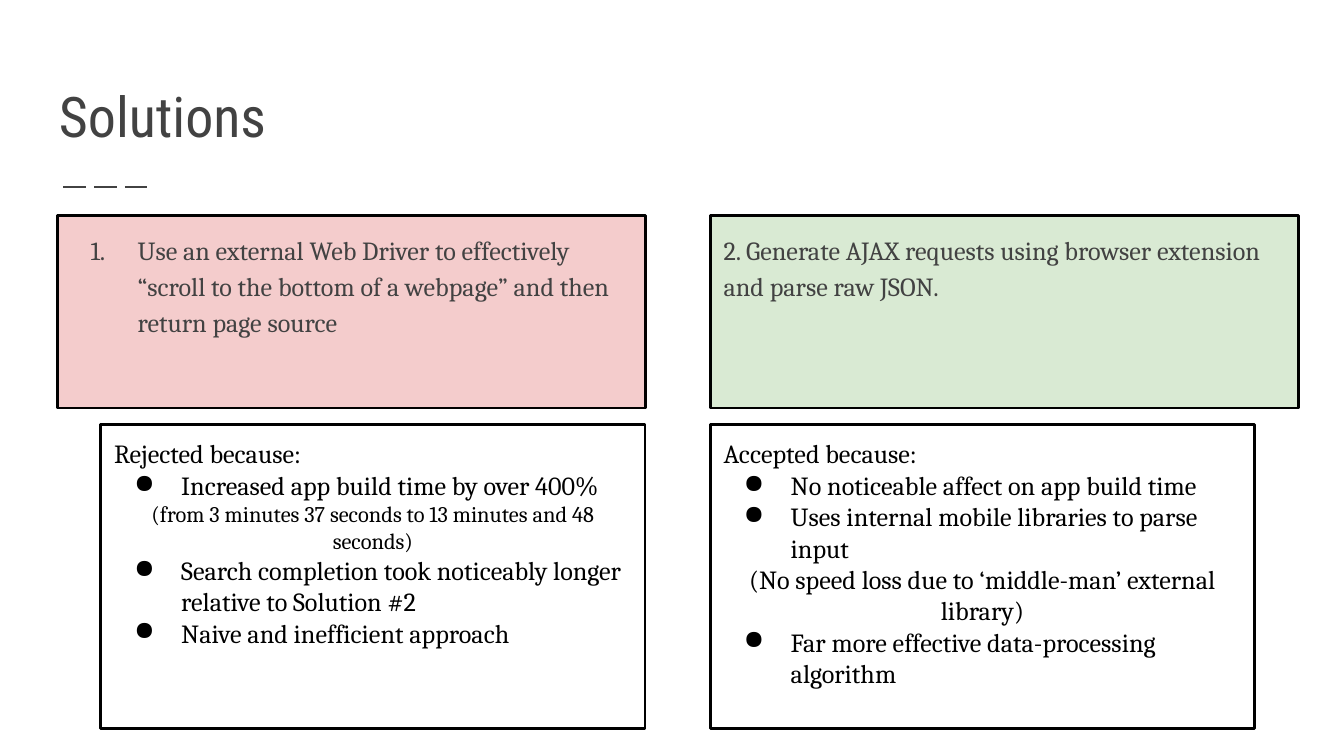
from collections import namedtuple

from lxml.etree import SubElement
from pptx import Presentation
from pptx.dml.color import RGBColor
from pptx.enum.dml import MSO_LINE
from pptx.enum.shapes import MSO_CONNECTOR, MSO_SHAPE
from pptx.enum.text import MSO_ANCHOR, PP_ALIGN
from pptx.oxml.ns import qn
from pptx.util import Inches, Pt

# Widescreen, 16 to 9
WIDTH = Inches(10)
HEIGHT = WIDTH * 9 // 16
GREY, BLACK = "424242", "000000"
SERIF, CONDENSED = "Cambria", "Roboto Condensed"

# Box values are percentages of the slide's width and height
Box = namedtuple("Box", "left top width height")


def across(percent):
    return round(WIDTH * percent / 100)


def down(percent):
    return round(HEIGHT * percent / 100)


def place(box):
    return across(box.left), down(box.top), across(box.width), down(box.height)


def color(value):
    return RGBColor.from_string(value)


def prepare_frame(frame, anchor=MSO_ANCHOR.TOP):
    frame.word_wrap = True
    frame.vertical_anchor = anchor
    frame.margin_left = frame.margin_right = Inches(0.1)
    frame.margin_top = frame.margin_bottom = Inches(0.1)


def write(paragraph, text, size, ink, font=SERIF, align=PP_ALIGN.LEFT):
    paragraph.alignment = align
    run = paragraph.add_run()
    run.text = text
    run.font.size = Pt(size)
    run.font.name = font
    run.font.color.rgb = color(ink)


def add_marker(paragraph, ink, tag, **attributes):
    properties = paragraph._p.get_or_add_pPr()
    properties.set("marL", str(Inches(0.5)))
    properties.set("indent", str(-Inches(0.35)))
    marker_color = SubElement(properties, qn("a:buClr"))
    SubElement(marker_color, qn("a:srgbClr"), val=ink)
    SubElement(properties, qn(tag), **attributes)


def add_panel(slide, box, fill=None):
    panel = slide.shapes.add_shape(MSO_SHAPE.RECTANGLE, *place(box))
    panel.shadow.inherit = False
    if fill:
        panel.fill.solid()
        panel.fill.fore_color.rgb = color(fill)
    else:
        panel.fill.background()
    panel.line.color.rgb = color(BLACK)
    panel.line.width = Pt(1.5)
    prepare_frame(panel.text_frame)
    return panel.text_frame


def add_heading(slide, box, text):
    heading = slide.shapes.add_textbox(*place(box)).text_frame
    prepare_frame(heading, MSO_ANCHOR.BOTTOM)
    write(heading.paragraphs[0], text, 30, GREY, CONDENSED)

    # Dashed accent below the heading
    left, y = across(box.left + 1.3), down(box.top + box.height + 3.25)
    accent = slide.shapes.add_connector(
        MSO_CONNECTOR.STRAIGHT, left, y, left + across(6.7), y)
    accent.line.color.rgb = color(GREY)
    accent.line.width = Pt(1.5)
    accent.line.dash_style = MSO_LINE.LONG_DASH
    SubElement(accent._element.spPr, qn("a:effectLst"))


def add_proposal(slide, box, text, fill, numbered):
    paragraph = add_panel(slide, box, fill).paragraphs[0]
    paragraph.line_spacing = 1.15
    write(paragraph, text, 14, GREY)
    if numbered:
        add_marker(paragraph, GREY, "a:buAutoNum", type="arabicPeriod")


def add_verdict(slide, box, verdict, reasons, aside_size):
    frame = add_panel(slide, box)
    write(frame.paragraphs[0], verdict, 14, BLACK)
    for reason in reasons:
        paragraph = frame.add_paragraph()
        if reason.startswith("("):
            write(paragraph, reason, aside_size, BLACK, align=PP_ALIGN.CENTER)
        else:
            write(paragraph, reason, 14, BLACK)
            add_marker(paragraph, BLACK, "a:buChar", char="●")


def add_solution(slide, box, solution):
    # Verdicts are narrower and keep to the edge facing the slide's centre
    inset = 3.25
    verdict_left = box.left + (inset if box.left < 50 else 0)
    row = box.height / 100
    add_proposal(slide, box._replace(height=row * 37.5),
                 solution["proposal"], solution["fill"], solution["numbered"])
    add_verdict(slide,
                Box(verdict_left, box.top + row * 40.7,
                    box.width - inset, row * 59.3),
                solution["verdict"], solution["reasons"],
                solution["aside_size"])


SOLUTIONS = [
    {
        "proposal": "Use an external Web Driver to effectively “scroll to the "
                    "bottom of a webpage” and then return page source",
        "fill": "F4CCCC",
        "numbered": True,
        "verdict": "Rejected because:",
        "reasons": [
            "Increased app build time by over 400%",
            "(from 3 minutes 37 seconds to 13 minutes and 48 seconds)",
            "Search completion took noticeably longer relative to Solution #2",
            "Naive and inefficient approach",
        ],
        "aside_size": 12,
    },
    {
        "proposal": "2. Generate AJAX requests using browser extension and "
                    "parse raw JSON.",
        "fill": "D9EAD3",
        "numbered": False,
        "verdict": "Accepted because:",
        "reasons": [
            "No noticeable affect on app build time",
            "Uses internal mobile libraries to parse input",
            "(No speed loss due to ‘middle-man’ external library)",
            "Far more effective data-processing algorithm",
        ],
        "aside_size": 14,
    },
]


def main():
    deck = Presentation()
    deck.slide_width, deck.slide_height = WIDTH, HEIGHT
    slide = deck.slides.add_slide(deck.slide_layouts[6])
    slide.background.fill.solid()
    slide.background.fill.fore_color.rgb = color("FFFFFF")

    add_heading(slide, Box(3.41, 7.3, 93.18, 14.2), "Solutions")
    for column, solution in enumerate(SOLUTIONS):
        add_solution(slide, Box(4.25 + column * 48.6, 28.55, 43.75, 67.8),
                     solution)
    deck.save("out.pptx")


if __name__ == "__main__":
    main()
